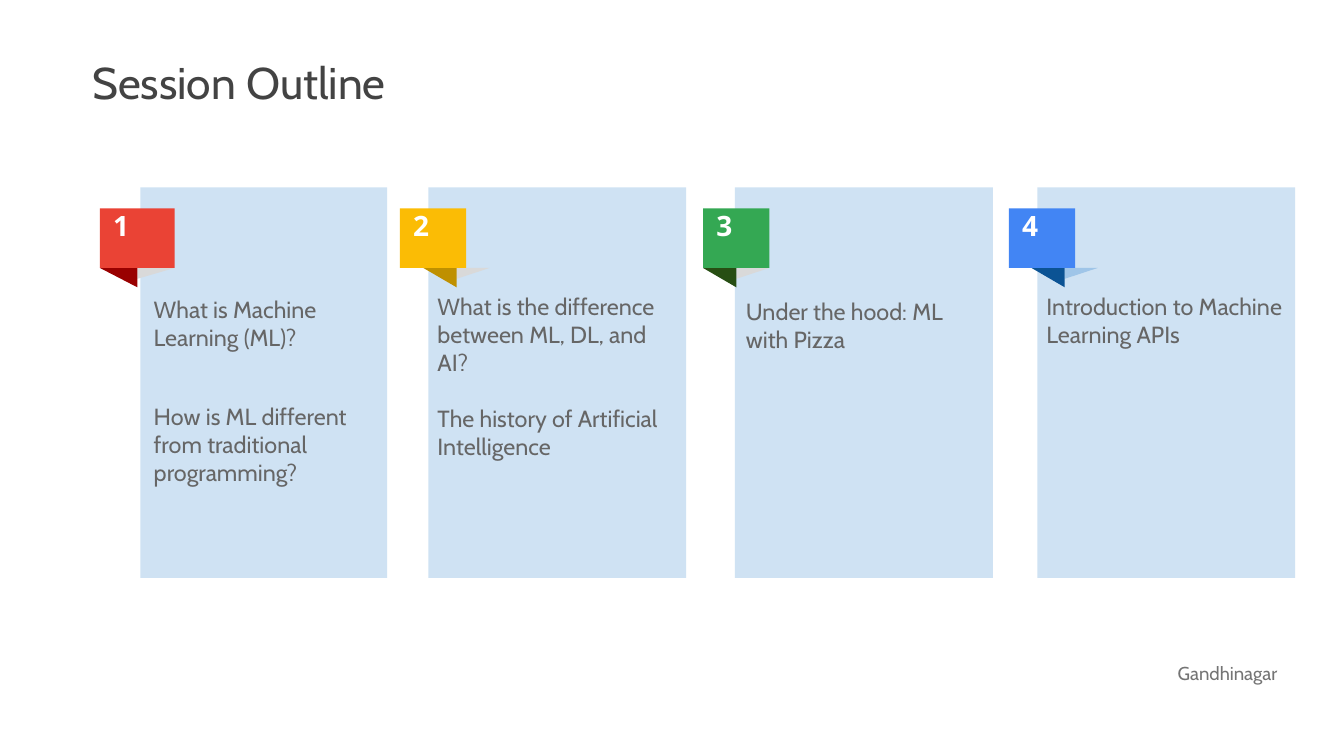
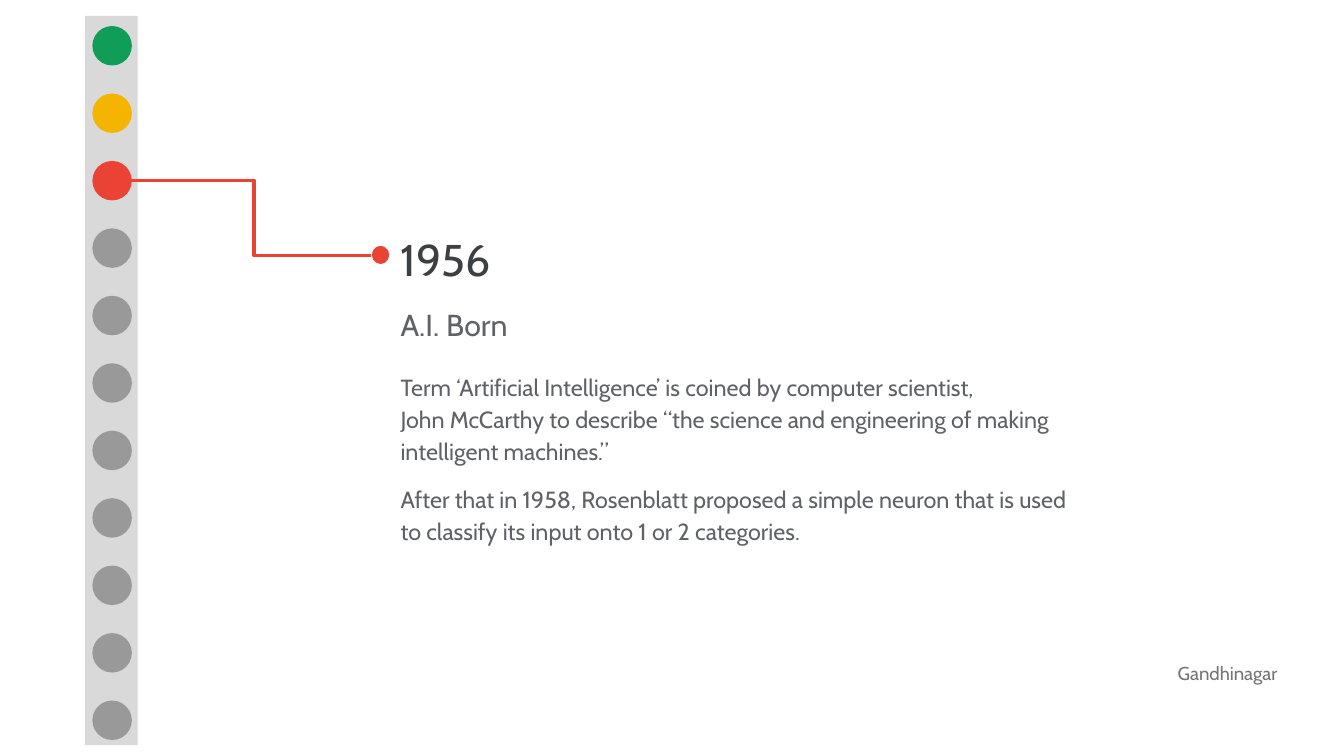
import pptx
import pptx.util
import pptx.dml.color
import pptx.enum.shapes
import pptx.oxml.ns
import lxml.etree

Inches, Pt = pptx.util.Inches, pptx.util.Pt
RGB = pptx.dml.color.RGBColor
SHAPE = pptx.enum.shapes.MSO_SHAPE
CONNECTOR = pptx.enum.shapes.MSO_CONNECTOR

# Shared style
FONT, NUMBER_FONT = "Cabin", "Open Sans"
WHITE = RGB(0xFF, 0xFF, 0xFF)
TITLE = RGB(0x43, 0x43, 0x43)
BODY = RGB(0x66, 0x66, 0x66)
FOOTER = RGB(0x74, 0x74, 0x74)
YEAR = RGB(0x3C, 0x40, 0x43)
STORY = RGB(0x5F, 0x63, 0x68)
CARD = RGB(0xCF, 0xE2, 0xF3)
LIGHT_GREY = RGB(0xD9, 0xD9, 0xD9)
GREY = RGB(0x99, 0x99, 0x99)
RED, DARK_RED = RGB(0xEA, 0x43, 0x35), RGB(0x99, 0x00, 0x00)
YELLOW, DARK_YELLOW = RGB(0xFB, 0xBC, 0x05), RGB(0xBF, 0x90, 0x00)
GREEN, DARK_GREEN = RGB(0x34, 0xA8, 0x53), RGB(0x27, 0x4E, 0x13)
BLUE, DARK_BLUE = RGB(0x42, 0x85, 0xF4), RGB(0x0B, 0x53, 0x94)
PALE_BLUE = RGB(0x9F, 0xC5, 0xE8)
DOT_GREEN, DOT_YELLOW = RGB(0x0F, 0x9D, 0x58), RGB(0xF4, 0xB4, 0x00)

# Session outline: card and flag are (left, width), text is (left, top, width, inset),
# paragraphs are (text, space before)
SESSIONS = [
    dict(card=(1.67, 2.94), flag=(1.19, 0.89), fold=1.19,
         colors=(RED, DARK_RED, LIGHT_GREY), text=(1.79, 3.47, 2.82, 0.04),
         paragraphs=[("What is Machine Learning (ML)?", 0),
                     ("How is ML different from traditional programming?", 44)]),
    dict(card=(5.1, 3.07), flag=(4.76, 0.79), fold=5.04,
         colors=(YELLOW, DARK_YELLOW, LIGHT_GREY), text=(5.11, 3.38, 3.07, 0.1),
         paragraphs=[("What is the difference between ML, DL, and AI?", 0),
                     ("The history of Artificial Intelligence", 24)]),
    dict(card=(8.75, 3.07), flag=(8.37, 0.79), fold=8.37,
         colors=(GREEN, DARK_GREEN, LIGHT_GREY), text=(8.84, 3.5, 2.94, 0.04),
         paragraphs=[("Under the hood: ML with Pizza", 0)]),
    dict(card=(12.35, 3.07), flag=(12.01, 0.79), fold=12.28,
         colors=(BLUE, DARK_BLUE, PALE_BLUE), text=(12.36, 3.38, 3.07, 0.1),
         paragraphs=[("Introduction to Machine Learning APIs", 0)]),
]

# Timeline
DOT_COLORS = [DOT_GREEN, DOT_YELLOW, RED] + [GREY] * 8
DOT_LEFT, DOT_SIZE, FIRST_DOT, LAST_DOT = 1.1, 0.47, 0.31, 8.34
STORY_PARAGRAPHS = [
    ("Term ‘Artificial Intelligence’ is coined by computer scientist,", 0),
    ("John McCarthy to describe “the science and engineering of making "
     "intelligent machines.”", 0),
    ("After that in 1958, Rosenblatt proposed a simple neuron that is used "
     "to classify its input onto 1 or 2 categories.", 13.5),
]


def add_shape(slide, kind, left, top, width, height, fill):
    sp = slide.shapes.add_shape(kind, Inches(left), Inches(top), Inches(width), Inches(height))
    sp.shadow.inherit = False
    sp.fill.solid()
    sp.fill.fore_color.rgb = fill
    sp.line.fill.background()
    return sp


def add_text(slide, left, top, width, height, paragraphs, size, color,
             font=FONT, bold=False, inset=0.1, spacing=None):
    box = slide.shapes.add_textbox(Inches(left), Inches(top), Inches(width), Inches(height))
    tf = box.text_frame
    tf.word_wrap = True
    tf.margin_left = tf.margin_right = tf.margin_top = tf.margin_bottom = Inches(inset)
    for i, (text, before) in enumerate(paragraphs):
        p = tf.paragraphs[0] if i == 0 else tf.add_paragraph()
        if before:
            p.space_before = Pt(before)
        if spacing:
            p.line_spacing = spacing
        r = p.add_run()
        r.text = text
        r.font.name, r.font.size, r.font.bold = font, Pt(size), bold
        r.font.color.rgb = color


def add_heading(slide, left, top, text, size, color):
    add_text(slide, left, top, 9.33, 1.01, [(text, 0)], size, color)


def add_slide(prs):
    slide = prs.slides.add_slide(prs.slide_layouts[6])
    add_text(slide, 14.02, 7.84, 1.9, 0.92, [("Gandhinagar", 0)], 16, FOOTER,
             inset=0, spacing=1.15)
    return slide


def add_session(slide, number, session):
    card_left, card_width = session["card"]
    flag_left, flag_width = session["flag"]
    flag_color, fold_color, shade_color = session["colors"]
    fold_left, half = session["fold"], flag_width / 2
    add_shape(slide, SHAPE.RECTANGLE, card_left, 2.23, card_width, 4.65, CARD)

    # Numbered flag with its fold and shade
    shade = add_shape(slide, SHAPE.RIGHT_TRIANGLE, fold_left + half, 3.19, half, 0.13, shade_color)
    shade.element.spPr.xfrm.set("flipV", "1")
    fold = add_shape(slide, SHAPE.RIGHT_TRIANGLE, fold_left, 3.19, half, 0.23, fold_color)
    fold.rotation = 180
    add_shape(slide, SHAPE.RECTANGLE, flag_left, 2.48, flag_width, 0.71, flag_color)
    add_text(slide, flag_left + 0.06, 2.38, flag_width - 0.12, 0.6, [(str(number), 0)],
             24, WHITE, font=NUMBER_FONT, bold=True)

    left, top, width, inset = session["text"]
    add_text(slide, left, top, width, 2.6, session["paragraphs"], 20, BODY, inset=inset)


def build_outline(prs):
    slide = add_slide(prs)
    add_heading(slide, 1, 0.56, "Session Outline", 38, TITLE)
    for number, session in enumerate(SESSIONS, 1):
        add_session(slide, number, session)


def build_timeline(prs):
    slide = add_slide(prs)
    add_heading(slide, 4.67, 2.66, "1956", 38, YEAR)
    add_heading(slide, 4.67, 3.55, "A.I. Born", 26, STORY)
    add_text(slide, 4.67, 4.29, 8.33, 1.98, STORY_PARAGRAPHS, 20, STORY, spacing=1.15)

    # Bar of evenly spaced dots
    add_shape(slide, SHAPE.RECTANGLE, 1.01, 0.19, 0.63, 8.68, LIGHT_GREY)
    step = (LAST_DOT - FIRST_DOT) / (len(DOT_COLORS) - 1)
    for i, color in enumerate(DOT_COLORS):
        add_shape(slide, SHAPE.OVAL, DOT_LEFT, FIRST_DOT + i * step, DOT_SIZE, DOT_SIZE, color)

    # Elbow from the current dot to the year
    elbow = slide.shapes.add_connector(CONNECTOR.ELBOW, Inches(1.56), Inches(2.15),
                                       Inches(4.49), Inches(3.04))
    elbow.line.color.rgb = RED
    elbow.line.width = Pt(3)
    lxml.etree.SubElement(elbow.element.spPr, pptx.oxml.ns.qn("a:effectLst"))
    marker = add_shape(slide, SHAPE.OVAL, 4.42, 2.92, 0.22, 0.23, RED)
    marker.line.color.rgb = WHITE
    marker.line.width = Pt(0.75)


def main():
    prs = pptx.Presentation()
    prs.slide_width, prs.slide_height = Inches(16), Inches(9)
    build_outline(prs)
    build_timeline(prs)
    prs.save("out.pptx")


if __name__ == "__main__":
    main()
